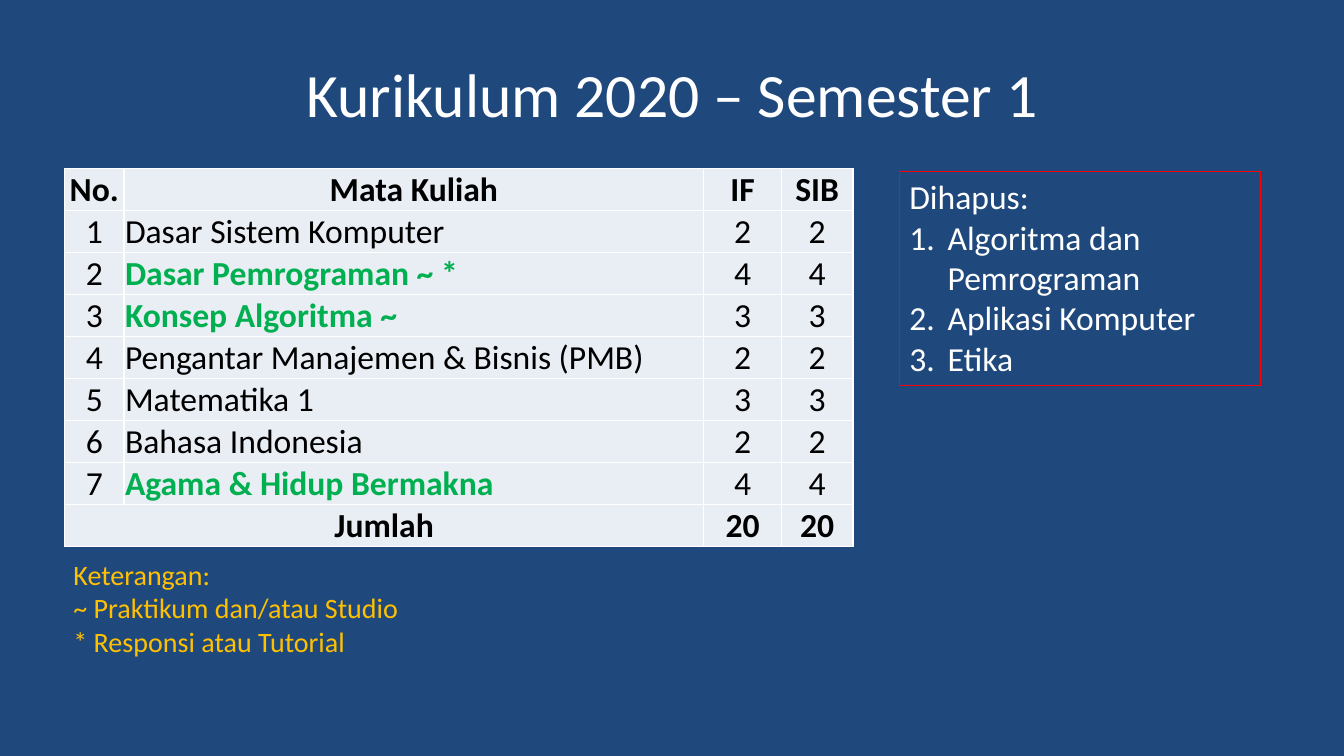
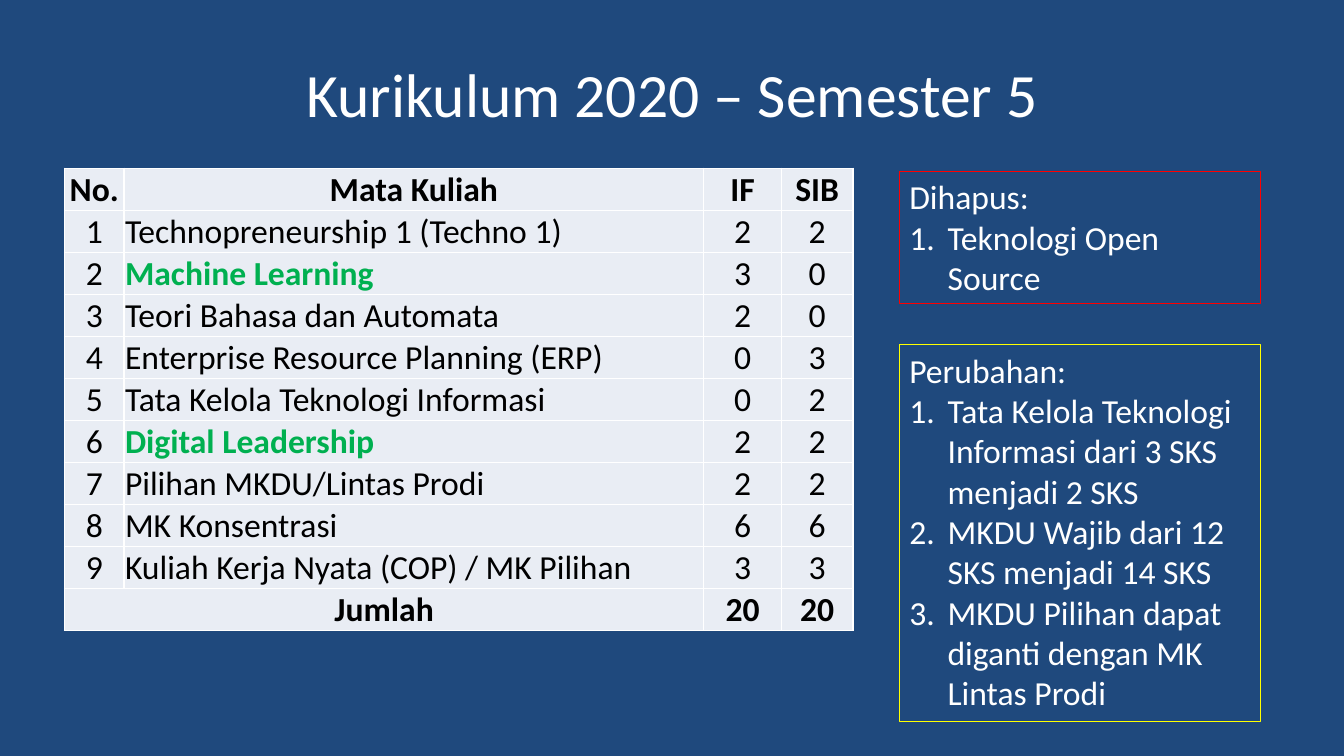
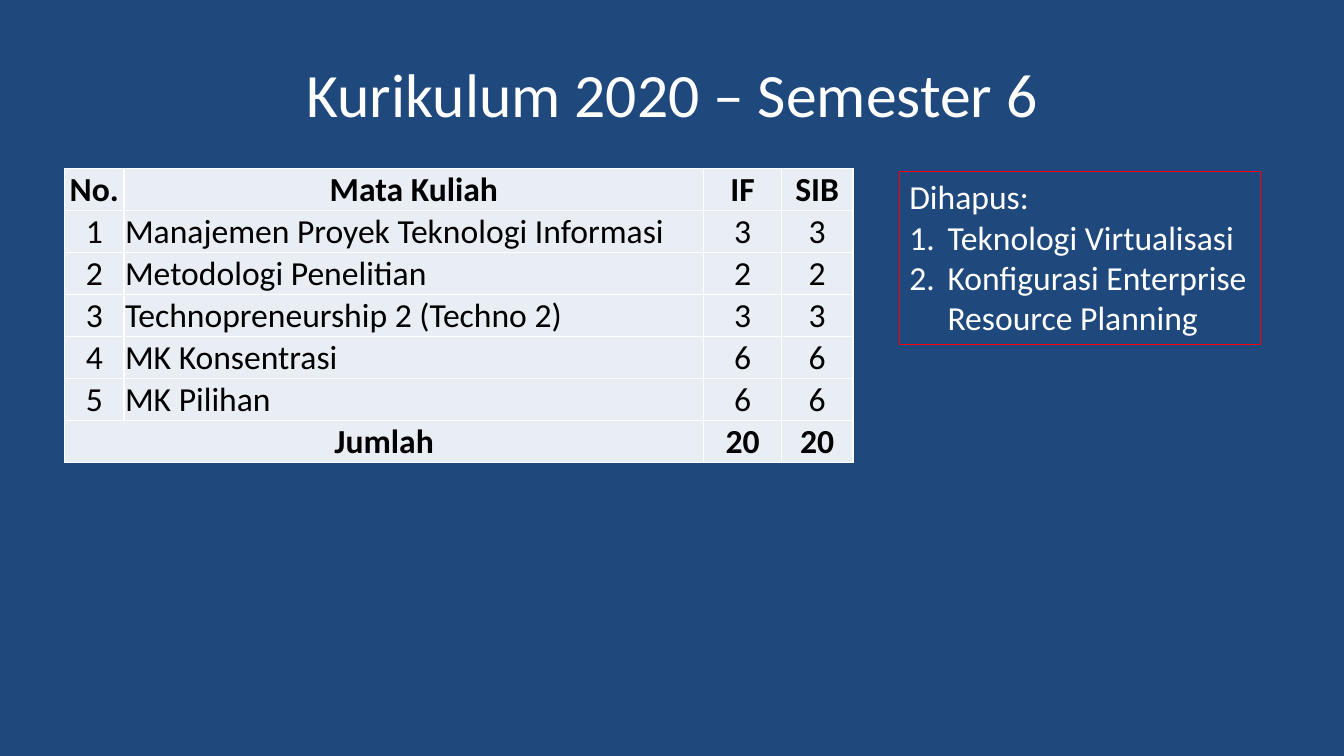
from pptx import Presentation, util as u
from pptx.dml.color import RGBColor
from pptx.enum import shapes, text
from pptx.oxml.ns import qn
from lxml import etree

FONT = "Calibri"
COLORS = {"back": "1F497D", "white": "FFFFFF", "black": "000000", "cell": "E9EDF4",
          "new": "00B050", "legend": "FFC000", "removed": "FF0000", "changed": "FFFF00"}
LEFT, CENTER = text.PP_ALIGN.LEFT, text.PP_ALIGN.CENTER

HEADER = ("No.", "Mata Kuliah", "IF", "SIB")
COL_WIDTHS = (0.59, 5.75, 0.77, 0.71)
ROW_HEIGHT = 0.41
TABLE_LEFT, TABLE_TOP = 0.64, 1.67
NOTE_LEFT, NOTE_WIDTH = 8.92, 3.58
INDENT = 0.38

# Courses: name, IF credits, SIB credits; names in NEW_COURSES are highlighted.
# Notes: heading, line colour, top, height, numbered items.
NEW_COURSES = {"Dasar Pemrograman ~ *", "Konsep Algoritma ~", "Agama & Hidup Bermakna",
               "Machine Learning", "Digital Leadership"}
SEMESTERS = [
    {"number": 1,
     "courses": [("Dasar Sistem Komputer", 2, 2),
                 ("Dasar Pemrograman ~ *", 4, 4),
                 ("Konsep Algoritma ~", 3, 3),
                 ("Pengantar Manajemen & Bisnis (PMB)", 2, 2),
                 ("Matematika 1", 3, 3),
                 ("Bahasa Indonesia", 2, 2),
                 ("Agama & Hidup Bermakna", 4, 4)],
     "notes": [("Dihapus:", "removed", 1.7, 2.12,
                ["Algoritma dan Pemrograman", "Aplikasi Komputer", "Etika"])],
     "legend": ["Keterangan:", "~ Praktikum dan/atau Studio", "* Responsi atau Tutorial"]},
    {"number": 5,
     "courses": [("Technopreneurship 1 (Techno 1)", 2, 2),
                 ("Machine Learning", 3, 0),
                 ("Teori Bahasa dan Automata", 2, 0),
                 ("Enterprise Resource Planning (ERP)", 0, 3),
                 ("Tata Kelola Teknologi Informasi", 0, 2),
                 ("Digital Leadership", 2, 2),
                 ("Pilihan MKDU/Lintas Prodi", 2, 2),
                 ("MK Konsentrasi", 6, 6),
                 ("Kuliah Kerja Nyata (COP) / MK Pilihan", 3, 3)],
     "notes": [("Dihapus:", "removed", 1.7, 1.31, ["Teknologi Open Source"]),
               ("Perubahan:", "changed", 3.42, 3.74,
                ["Tata Kelola Teknologi Informasi dari 3 SKS menjadi 2 SKS",
                 "MKDU Wajib dari 12 SKS menjadi 14 SKS",
                 "MKDU Pilihan dapat diganti dengan MK Lintas Prodi"])]},
    {"number": 6,
     "courses": [("Manajemen Proyek Teknologi Informasi", 3, 3),
                 ("Metodologi Penelitian", 2, 2),
                 ("Technopreneurship 2 (Techno 2)", 3, 3),
                 ("MK Konsentrasi", 6, 6),
                 ("MK Pilihan", 6, 6)],
     "notes": [("Dihapus:", "removed", 1.7, 1.72,
                ["Teknologi Virtualisasi", "Konfigurasi Enterprise Resource Planning"])]},
]


def rgb(name):
    """Return the named colour."""
    return RGBColor.from_string(COLORS[name])


def box(left, top, width, height):
    """Turn four inch values into lengths."""
    return [u.Inches(v) for v in (left, top, width, height)]


def write(tf, lines, size=24, color="white", bold=False, align=LEFT, numbered=False):
    """Fill a text frame with one paragraph a line; numbered starts at the second."""
    for i, line in enumerate(lines):
        p = tf.paragraphs[0] if i == 0 else tf.add_paragraph()
        p.alignment = align
        r = p.add_run()
        r.text = line
        r.font.name, r.font.size, r.font.bold = FONT, u.Pt(size), bold
        r.font.color.rgb = rgb(color)
        if numbered and i:
            pPr = p._p.get_or_add_pPr()
            pPr.set("marL", str(u.Inches(INDENT)))
            pPr.set("indent", str(-u.Inches(INDENT)))
            etree.SubElement(pPr, qn("a:buFont"), typeface="+mj-lt")
            etree.SubElement(pPr, qn("a:buAutoNum"), type="arabicPeriod")


def add_title(s, title):
    """Place and write the slide title."""
    sp = s.shapes.title
    sp.left, sp.top, sp.width, sp.height = box(0.67, 0.3, 12, 1.25)
    sp.text_frame.vertical_anchor = text.MSO_ANCHOR.MIDDLE
    write(sp.text_frame, [title], size=44, align=CENTER)


def style_cell(cell):
    """Give a cell its margins, white borders and fill."""
    cell.margin_left = cell.margin_top = cell.margin_right = u.Inches(0.01)
    cell.margin_bottom = 0
    cell.vertical_anchor = text.MSO_ANCHOR.MIDDLE
    tcPr = cell._tc.get_or_add_tcPr()
    for side in ("lnL", "lnR", "lnT", "lnB"):
        ln = etree.SubElement(tcPr, qn("a:" + side), w=str(u.Pt(1)))
        fill = etree.SubElement(ln, qn("a:solidFill"))
        etree.SubElement(fill, qn("a:srgbClr"), val=COLORS["white"])
    cell.fill.solid()
    cell.fill.fore_color.rgb = rgb("cell")


def add_courses(s, courses):
    """Add the course table with numbers and credit totals; return its bottom."""
    totals = [sum(c[k] for c in courses) for k in (1, 2)]
    rows = [HEADER, *((i, *c) for i, c in enumerate(courses, 1)), ("Jumlah", "", *totals)]
    last = len(rows) - 1
    height = ROW_HEIGHT * len(rows)
    table = s.shapes.add_table(len(rows), len(HEADER), *box(
        TABLE_LEFT, TABLE_TOP, sum(COL_WIDTHS), height)).table
    table.first_row = table.horz_banding = False
    for col, width in zip(table.columns, COL_WIDTHS):
        col.width = u.Inches(width)
    for i, values in enumerate(rows):
        table.rows[i].height = u.Inches(ROW_HEIGHT)
        for j, value in enumerate(values):
            cell = table.cell(i, j)
            style_cell(cell)
            if value == "":
                continue
            new = value in NEW_COURSES
            write(cell.text_frame, [str(value)], color="new" if new else "black",
                  bold=new or i in (0, last),
                  align=LEFT if j == 1 and 0 < i < last else CENTER)
    table.cell(last, 0).merge(table.cell(last, 1))
    return TABLE_TOP + height


def add_note(s, heading, color, top, height, items):
    """Add an outlined box with a heading and a numbered list."""
    sp = s.shapes.add_shape(shapes.MSO_SHAPE.RECTANGLE,
                            *box(NOTE_LEFT, top, NOTE_WIDTH, height))
    sp.shadow.inherit = False
    sp.fill.background()
    sp.line.color.rgb = rgb(color)
    sp.line.width = u.Pt(0.75)
    tf = sp.text_frame
    tf.word_wrap = True
    tf.vertical_anchor = text.MSO_ANCHOR.TOP
    tf.auto_size = text.MSO_AUTO_SIZE.SHAPE_TO_FIT_TEXT
    write(tf, [heading, *items], numbered=True)


def add_legend(s, lines, top):
    """Add the legend under the table."""
    tf = s.shapes.add_textbox(*box(0.63, top, 3.52, 1.11)).text_frame
    tf.word_wrap = True
    tf.auto_size = text.MSO_AUTO_SIZE.SHAPE_TO_FIT_TEXT
    write(tf, lines, size=20, color="legend")


prs = Presentation()
prs.slide_width, prs.slide_height = u.Inches(13.33), u.Inches(7.5)
back = prs.slide_master.background.fill
back.solid()
back.fore_color.rgb = rgb("back")

for semester in SEMESTERS:
    s = prs.slides.add_slide(prs.slide_layouts.get_by_name("Title Only"))
    add_title(s, f"Kurikulum 2020 – Semester {semester['number']}")
    bottom = add_courses(s, semester["courses"])
    for note in semester["notes"]:
        add_note(s, *note)
    if "legend" in semester:
        add_legend(s, semester["legend"], bottom + 0.12)

prs.save("out.pptx")
